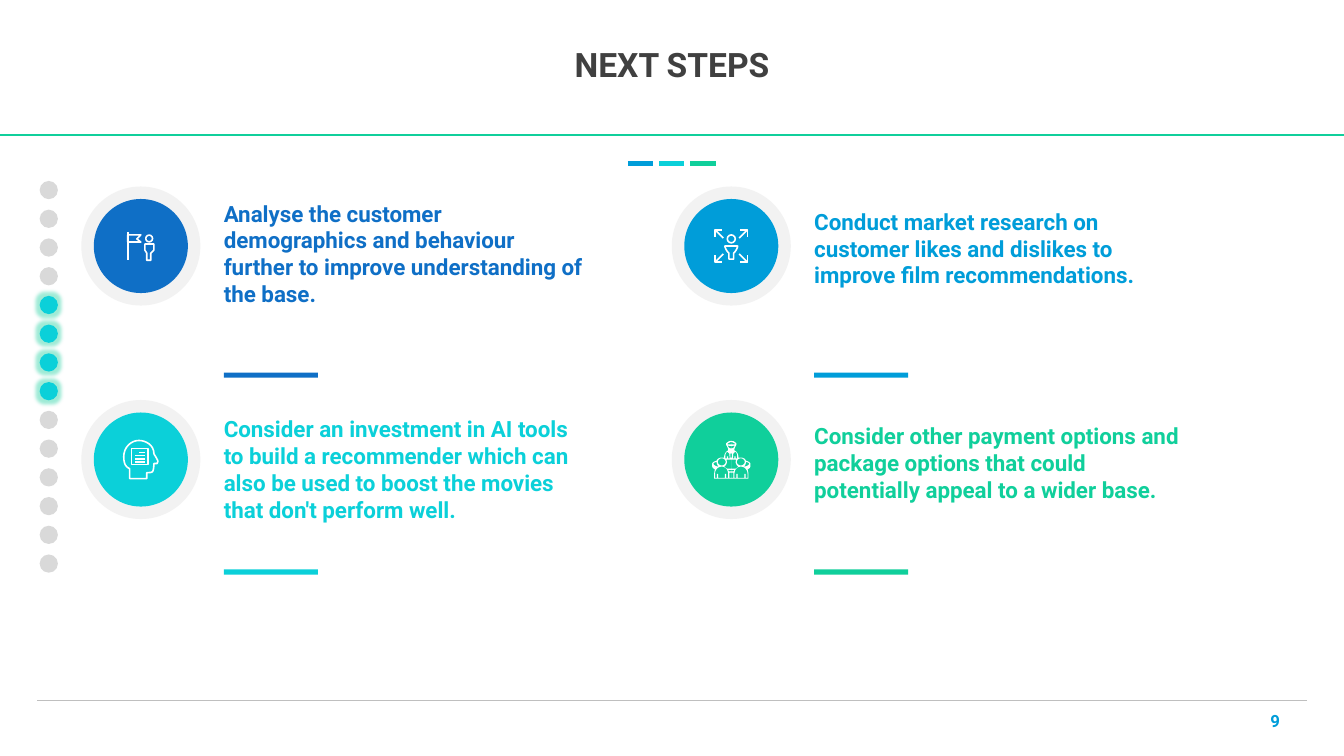
from lxml import etree
from pptx import Presentation
from pptx.dml.color import RGBColor
from pptx.enum import shapes as kinds, text as txt
from pptx.oxml import ns
from pptx.util import Cm, Pt

FONT = "Roboto"
HUES = {
    "navy": "0F6FC6", "blue": "009DD9", "aqua": "0BD0D9", "green": "10CF9B",
    "white": "FFFFFF", "ring": "F2F2F2", "dot": "D9D9D9", "rule": "BFBFBF",
    "title": "404040",
}
OVAL = kinds.MSO_SHAPE.OVAL
RECT = kinds.MSO_SHAPE.RECTANGLE
WIDTH, HEIGHT = 33.87, 19.05

# Icon points are cm from the disc centre; six numbers make a cubic curve.
FLAG = [(0, -.1), (-.33, -.1), (-.33, -.28), (0, -.28), (-.1, -.18)]
GUIDE = [(.1, -.05), (.33, -.05), (.33, .1), (.25, .18), (.25, .36),
         (.15, .36), (.15, .18), (.1, .1)]
BUST = [(.16, 0), (-.16, 0), (-.16, .05, -.1, .15, -.06, .18), (-.06, .33),
        (.06, .33), (.06, .18), (.1, .15, .16, .05, .16, 0)]
SKULL = [(.33, -.15), (.33, -.36, .13, -.48, -.05, -.48),
         (-.25, -.48, -.43, -.3, -.43, -.08),
         (-.43, .05, -.41, .18, -.28, .23), (-.28, .48), (.15, .48),
         (.15, .33), (.23, .33, .28, .33, .3, .3),
         (.33, .25, .33, .1, .33, .1), (.41, .1), (.43, .05),
         (.43, 0, .33, -.13, .33, -.15)]
# Right half of the meeting: outline first, then the gaps cut from it.
MEETING = [
    [(0, -.47), (.06, -.46), (.13, -.41), (.13, -.37), (.11, -.34),
     (.08, -.27), (.08, -.23), (.15, -.19, .18, -.13, .18, -.05),
     (.23, -.05), (.3, -.05, .35, -.02, .37, .03),
     (.44, .05, .48, .08, .48, .1), (.48, .18), (.48, .2, .45, .23, .41, .25),
     (.42, .28, .43, .32, .43, .36), (.43, .48), (0, .48)],
    [(0, -.45), (.08, -.41), (.1, -.38), (0, -.38)],
    [(0, -.34), (.08, -.35), (.08, -.3, .04, -.28, 0, -.28)],
    [(0, -.16), (.02, -.15), (.02, -.05), (0, -.05)],
    [(.1, -.2), (.13, -.18, .15, -.13, .15, -.1), (.15, -.03), (.11, -.03),
     (.11, -.08), (.08, -.08), (.08, -.03), (.04, -.03), (.05, -.15)],
    [(.24, -.03), (.29, -.03, .34, .01, .34, .06), (.34, .11, .29, .15, .24, .15),
     (.19, .15, .14, .11, .14, .06), (.14, .01, .19, -.03, .24, -.03)],
    [(.37, .06), (.42, .07, .45, .09, .45, .11), (.44, .14, .4, .17, .32, .18),
     (.35, .15, .37, .1, .37, .06)],
    [(0, 0), (.12, 0), (.11, .06), (.11, .11, .14, .15, .18, .18),
     (.11, .23), (0, .23)],
    [(0, .26), (.08, .26), (.06, .3), (0, .3)],
    [(0, .33), (.05, .33), (.05, .46), (0, .46)],
    [(.41, .46), (.36, .46), (.36, .36), (.33, .36), (.33, .46), (.16, .46),
     (.16, .36), (.13, .36), (.13, .46), (.08, .46), (.08, .36),
     (.08, .25, .15, .18, .24, .18), (.33, .18, .41, .25, .41, .36)],
]


def hue(name):
    return RGBColor.from_string(HUES[name])


def shape(pool, kind, x, y, w, h, fill=None):
    """Add a preset shape, filled, or white-outlined without a fill."""
    item = pool.add_shape(kind, Cm(x), Cm(y), Cm(w), Cm(h))
    paint(item, fill)
    return item


def paint(item, fill):
    item.shadow.inherit = False
    if fill:
        item.fill.solid()
        item.fill.fore_color.rgb = hue(fill)
        item.line.fill.background()
    else:
        item.fill.background()
        item.line.color.rgb = hue("white")
        item.line.width = Pt(1.13)


def disc(pool, x, y, size, fill=None):
    """Add a circle by its centre."""
    return shape(pool, OVAL, x - size / 2, y - size / 2, size, size, fill)


def line(pool, x, y, to_x, to_y, color="white", width=1.13):
    item = pool.add_connector(kinds.MSO_CONNECTOR.STRAIGHT,
                              Cm(x), Cm(y), Cm(to_x), Cm(to_y))
    item.line.color.rgb = hue(color)
    item.line.width = Pt(width)
    etree.SubElement(item._element.spPr, ns.qn("a:effectLst"))


def flatten(route):
    """Turn lines and cubic curves into plain points."""
    points = [route[0]]
    for step in route[1:]:
        if len(step) == 2:
            points.append(step)
            continue
        ends = [points[-1], step[:2], step[2:4], step[4:]]
        for n in range(1, 9):
            t = n / 8
            parts = ((1 - t) ** 3, 3 * t * (1 - t) ** 2, 3 * t * t * (1 - t), t ** 3)
            points.append(tuple(sum(p * e[k] for p, e in zip(parts, ends))
                                for k in (0, 1)))
    return points


def outline(pool, x, y, routes, fill=None, close=True):
    """Draw routes around the centre x, y as one freeform."""
    pen = None
    for route in routes:
        spots = [(Cm(x + a), Cm(y + b)) for a, b in flatten(route)]
        if pen is None:
            pen = pool.build_freeform(*spots[0])
        else:
            pen.move_to(*spots[0])
        pen.add_line_segments(spots[1:], close=close)
    paint(pen.convert_to_shape(), fill)


def leader(pool, x, y):
    outline(pool, x, y, [GUIDE])
    disc(pool, x + .21, y - .19, .17)
    line(pool, x - .33, y - .36, x - .33, y + .36)
    outline(pool, x, y, [FLAG])


def market(pool, x, y):
    for a in (-1, 1):
        for b in (-1, 1):
            line(pool, x + .2 * a, y + .2 * b, x + .41 * a, y + .41 * b)
            hook = [(.41 * a, .23 * b), (.41 * a, .41 * b), (.23 * a, .41 * b)]
            outline(pool, x, y, [hook], close=False)
    disc(pool, x, y - .18, .2)
    outline(pool, x, y, [BUST])


def mind(pool, x, y):
    outline(pool, x, y, [SKULL])
    shape(pool, RECT, x - .23, y - .28, .41, .41)
    for n in range(4):
        row = y - .18 + .08 * n
        line(pool, x - (.15 if n else .05), row, x + .1, row)


def meeting(pool, x, y):
    routes = [[tuple(v * side if k % 2 == 0 else v for k, v in enumerate(step))
               for step in route] for side in (1, -1) for route in MEETING]
    outline(pool, x, y, routes, "white")


def write(box, words, size, color, align, anchor):
    frame = box.text_frame
    frame.word_wrap = True
    frame.auto_size = txt.MSO_AUTO_SIZE.NONE
    frame.vertical_anchor = anchor
    frame.margin_left = frame.margin_right = 0
    frame.margin_top = frame.margin_bottom = 0
    para = frame.paragraphs[0]
    para.alignment = align
    run = para.add_run()
    run.text = words
    run.font.name, run.font.size, run.font.bold = FONT, Pt(size), True
    run.font.color.rgb = hue(color)
    return para


def place(box, x, y, w, h):
    box.left, box.top, box.width, box.height = Cm(x), Cm(y), Cm(w), Cm(h)


def frame(slide):
    """Add the title, rules and page number."""
    mid, center = txt.MSO_ANCHOR.MIDDLE, txt.PP_ALIGN.CENTER
    pool = slide.shapes
    place(pool.title, 1.35, .84, 31.17, 1.7)
    write(pool.title, "NEXT STEPS", 24, "title", center, mid).line_spacing = .9
    dashes = pool.add_group_shape().shapes
    for n, color in enumerate(("blue", "aqua", "green")):
        x = 15.82 + .79 * n
        line(dashes, x, 4.12, x + .64, 4.12, color, 3)
    line(pool, .94, 17.65, 32.94, 17.65, "rule", .5)
    line(pool, 0, 3.4, WIDTH, 3.4, "green", 1)
    page = pool.add_textbox(Cm(31.78), Cm(17.65), Cm(.71), Cm(1.02))
    write(page, "9", 12, "blue", center, mid)


def dots(pool):
    for n in range(14):
        lit = 4 <= n < 8
        dot = disc(pool, 1.23, 4.79 + .724 * n, .46, "aqua" if lit else "dot")
        if lit:
            fx = dot._element.spPr.find(ns.qn("a:effectLst"))
            glow = etree.SubElement(fx, ns.qn("a:glow"), rad=str(Pt(5)))
            tint = etree.SubElement(glow, ns.qn("a:srgbClr"), val=HUES["green"])
            etree.SubElement(tint, ns.qn("a:alpha"), val="40000")


def step(pool, col, row, color, icon, top, high, words):
    x, y = 3.55 + 14.88 * col, 6.2 + 5.38 * row
    box = pool.add_textbox(Cm(x + 2.09), Cm(top), Cm(9.2), Cm(high))
    write(box, words, 16, color, txt.PP_ALIGN.LEFT, txt.MSO_ANCHOR.BOTTOM)
    disc(pool, x, y, 3, "ring")
    disc(pool, x, y, 2.37, color)
    shape(pool, RECT, x + 2.09, 9.39 + 4.96 * row, 2.37, .13, color)
    icon(pool.add_group_shape().shapes, x, y)


def main():
    deck = Presentation()
    deck.slide_width, deck.slide_height = Cm(WIDTH), Cm(HEIGHT)
    slide = deck.slides.add_slide(deck.slide_layouts[5])
    frame(slide)
    dots(slide.shapes)
    for item in (
        (0, 0, "navy", leader, 5, 2.74, "Analyse the customer demographics and "
         "behaviour further to improve understanding of the base."),
        (0, 1, "aqua", mind, 10.44, 2.74, "Consider an investment in AI tools to build a "
         "recommender which can also be used to boost the movies that don't perform well."),
        (1, 0, "blue", market, 5.21, 2.06, "Conduct market research on customer likes "
         "and dislikes to improve film recommendations."),
        (1, 1, "green", meeting, 10.62, 2.06, "Consider other payment options and package "
         "options that could potentially appeal to a wider base."),
    ):
        step(slide.shapes, *item)
    deck.save("out.pptx")


if __name__ == "__main__":
    main()
